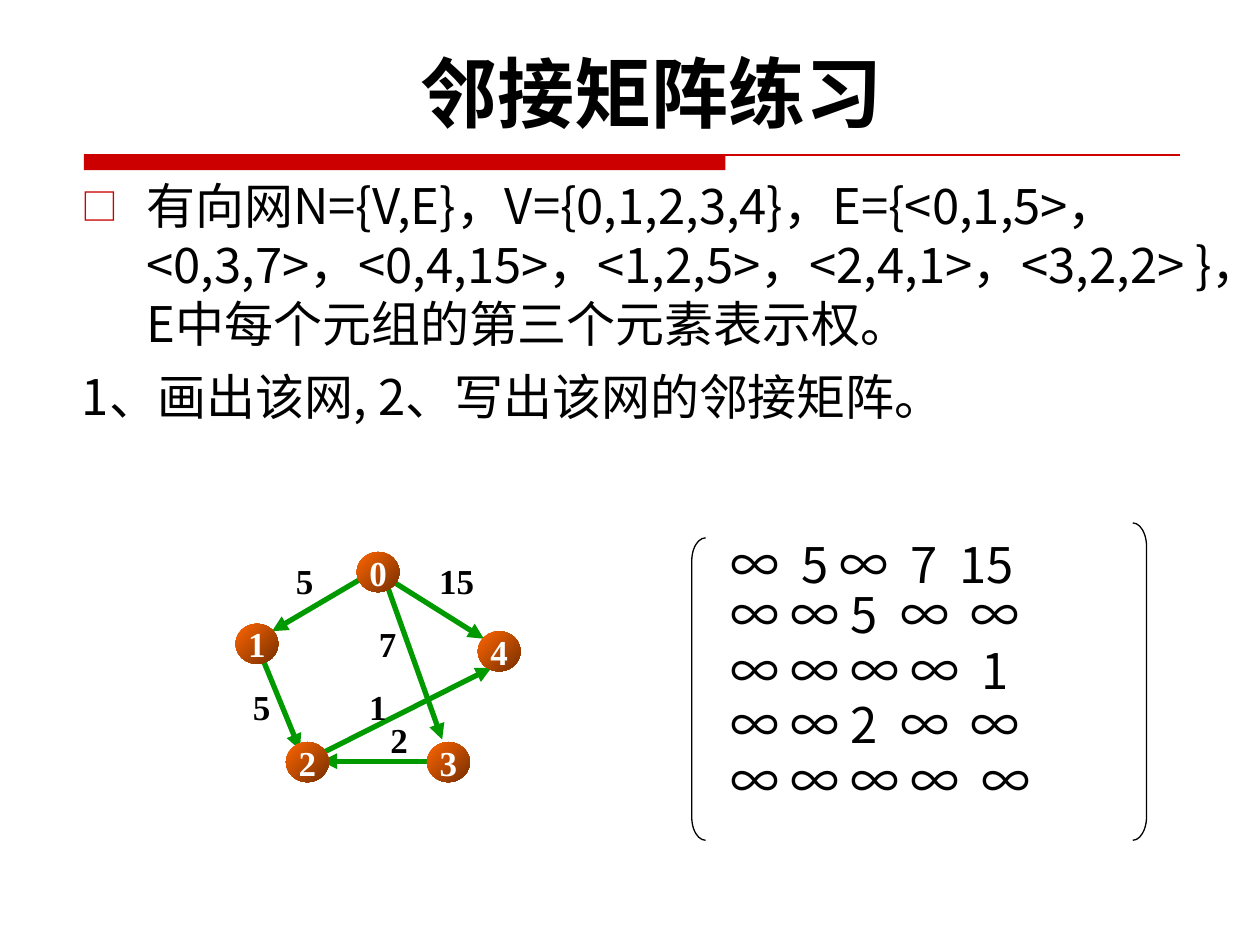
from lxml.etree import SubElement
from pptx import Presentation
from pptx.dml.color import RGBColor
from pptx.enum.shapes import MSO_CONNECTOR, MSO_SHAPE
from pptx.enum.text import MSO_ANCHOR, MSO_AUTO_SIZE, PP_ALIGN
from pptx.oxml.ns import qn
from pptx.util import Pt

SANS = "Noto Sans CJK SC"
TITLE = {"name": "Cabin", "size": Pt(44), "bold": True}
BODY = {"name": SANS, "size": Pt(28), "bold": False}
GRAPH = {"name": "Times New Roman", "size": Pt(20), "bold": True}
LINE_HEIGHT = Pt(33.7)

# Node: left and top inside the graph box
NODES = {"0": (69.8, 0.4), "1": (0.6, 41.4), "2": (29.4, 109),
         "3": (110, 109), "4": (139, 45.7)}
# Edge: start, end, weight, left and top of the weight, width of the weight
EDGES = [
    ((90, 17), (142.5, 50), "15", (102.9, 1.1), 48),
    ((17, 63.7), (37.4, 113.4), "5", (0.6, 73.1), 30),
    ((77.7, 12.6), (21.5, 45.7), "5", (25.1, 1.1), 30),
    ((86.3, 17), (118.7, 107.6), "7", (72.6, 37.1), 30),
    ((110, 120), (49.6, 120), "2", (79.1, 91.8), 30),
    ((49.6, 115.6), (146.8, 66.6), "1", (66.9, 73.1), 30),
]
# Matrix row: top inside the matrix box, entries, tab stops
ROWS = [
    (3, "∞ 5 ∞ 7 15", (40.5, 62.5, 103, 131)),
    (31.7, "∞ ∞ 5 ∞ ∞", (34.3, 68.6, 97, 137.5)),
    (63.4, "∞ ∞ ∞ ∞ 1", (34.3, 68.6, 103, 143.5)),
    (94.3, "∞ ∞ 2 ∞ ∞", (34.3, 68.6, 97, 137.5)),
    (126.7, "∞ ∞ ∞ ∞ ∞", (34.3, 68.6, 103, 143.5)),
]


def color(value):
    return RGBColor.from_string(value)


def place(item, left, top, width, height):
    item.left, item.top = Pt(left), Pt(top)
    item.width, item.height = Pt(width), Pt(height)


def write(para, text, style, ink="000000"):
    span = para.add_run()
    span.text = text
    for key, value in style.items():
        setattr(span.font, key, value)
    span.font.color.rgb = color(ink)
    SubElement(span.font._element, qn("a:ea"), typeface=style["name"])


def set_frame(frame, **options):
    options = {"word_wrap": True, "auto_size": MSO_AUTO_SIZE.NONE,
               "vertical_anchor": MSO_ANCHOR.TOP} | options
    for key, value in options.items():
        setattr(frame, key, value)


def add_text_box(page, left, top, width, height):
    box = page.shapes.add_textbox(Pt(left), Pt(top), Pt(width), Pt(height))
    set_frame(box.text_frame)
    return box.text_frame.paragraphs[0]


def add_line(page, start, end, ink, weight, arrow=False):
    line = page.shapes.add_connector(
        MSO_CONNECTOR.STRAIGHT, *(Pt(value) for value in start + end))
    line.line.color.rgb = color(ink)
    line.line.width = Pt(weight)
    if arrow:
        SubElement(line.line._get_or_add_ln(), qn("a:tailEnd"), type="triangle")
    SubElement(line._element.spPr, qn("a:effectLst"))


def add_heading(page, left, top, width, height):
    title = page.shapes.title
    place(title, left, top, width, height)
    set_frame(title.text_frame)
    para = title.text_frame.paragraphs[0]
    para.alignment = PP_ALIGN.CENTER
    write(para, "邻接矩阵练习", TITLE)


def add_rule(page, left, top, width, bar_width, bar_height):
    bar = page.shapes.add_shape(MSO_SHAPE.RECTANGLE, Pt(left), Pt(top),
                                Pt(bar_width), Pt(bar_height))
    bar.shadow.inherit = False
    bar.fill.solid()
    bar.fill.fore_color.rgb = color("CC0000")
    bar.line.fill.background()
    add_line(page, (left, top), (left + width, top), "CC0000", 0.75)


def add_exercise(page, left, top, width, height):
    body = page.placeholders[1]
    place(body, left, top, width, height)
    frame = body.text_frame
    set_frame(frame)
    task, steps = frame.paragraphs[0], frame.add_paragraph()
    for para in (task, steps):
        para.line_spacing = LINE_HEIGHT
        para.space_before = Pt(0 if para is task else 8)
        props = para._p.get_or_add_pPr()
        props.set("marL", str(Pt(37)))
        props.set("indent", str(-Pt(37)))
    bullet = task._p.pPr
    SubElement(SubElement(bullet, qn("a:buClr")), qn("a:srgbClr"), val="CC0000")
    SubElement(bullet, qn("a:buSzPct"), val="75000")
    SubElement(bullet, qn("a:buFont"), typeface=SANS)
    SubElement(bullet, qn("a:buChar"), char="□")
    SubElement(steps._p.pPr, qn("a:buNone"))
    write(task, "有向网N={V,E}，V={0,1,2,3,4}，E={<0,1,5>，<0,3,7>，<0,4,15>，"
                "<1,2,5>，<2,4,1>，<3,2,2> }，E中每个元组的第三个元素表示权。", BODY)
    write(steps, "1、画出该网, 2、写出该网的邻接矩阵。", BODY)


def add_node(page, name, left, top):
    node = page.shapes.add_shape(MSO_SHAPE.OVAL, Pt(left), Pt(top),
                                 Pt(24.5), Pt(23))
    node.shadow.inherit = False
    node.line.fill.background()
    node.fill.gradient()
    node.fill.gradient_angle = 315
    for stop, shade in zip(node.fill.gradient_stops, ("FF6600", "762F00")):
        stop.color.rgb = color(shade)
    set_frame(node.text_frame, word_wrap=False, margin_left=0, margin_right=0,
              vertical_anchor=MSO_ANCHOR.MIDDLE)
    para = node.text_frame.paragraphs[0]
    para.alignment = PP_ALIGN.CENTER
    write(para, name, GRAPH, "FFFFFF")


def add_graph(page, left, top):
    def shift(point):
        return left + point[0], top + point[1]

    for start, end, *_ in EDGES:
        add_line(page, shift(start), shift(end), "009900", 3, arrow=True)
    for name, corner in NODES.items():
        add_node(page, name, *shift(corner))
    for _, _, weight, corner, width in EDGES:
        para = add_text_box(page, *shift(corner), width, 31)
        para.alignment = PP_ALIGN.CENTER
        write(para, weight, GRAPH)


def add_matrix(page, left, top, width, height):
    thin = 7.9
    for kind, x, drop, curve in (
            (MSO_SHAPE.LEFT_BRACKET, left, 8.6, 1.67),
            (MSO_SHAPE.RIGHT_BRACKET, left + width - thin, 0, 1.75)):
        bracket = page.shapes.add_shape(kind, Pt(x), Pt(top + drop),
                                        Pt(thin), Pt(height - drop))
        bracket.shadow.inherit = False
        bracket.adjustments[0] = curve
        bracket.fill.background()
        bracket.line.color.rgb = color("000000")
        bracket.line.width = Pt(0.75)
    for drop, entries, stops in ROWS:
        para = add_text_box(page, left + 15, top + drop, 235, 41)
        para.line_spacing = LINE_HEIGHT
        tabs = SubElement(para._p.get_or_add_pPr(), qn("a:tabLst"))
        for stop in stops:
            SubElement(tabs, qn("a:tab"), pos=str(Pt(stop)), algn="l")
        write(para, "\t".join(entries.split()), BODY)


def main():
    deck = Presentation()
    deck.slide_width, deck.slide_height = Pt(720), Pt(540)
    page = deck.slides.add_slide(deck.slide_layouts[1])
    add_rule(page, 48, 88.6, 626.4, 366.5, 8.6)
    add_exercise(page, 39.6, 96.5, 690, 150)
    add_graph(page, 134, 315)
    add_heading(page, 39.6, 22.3, 666, 60.5)
    add_matrix(page, 395.3, 298.8, 259.9, 181.4)
    deck.save("out.pptx")


if __name__ == "__main__":
    main()
